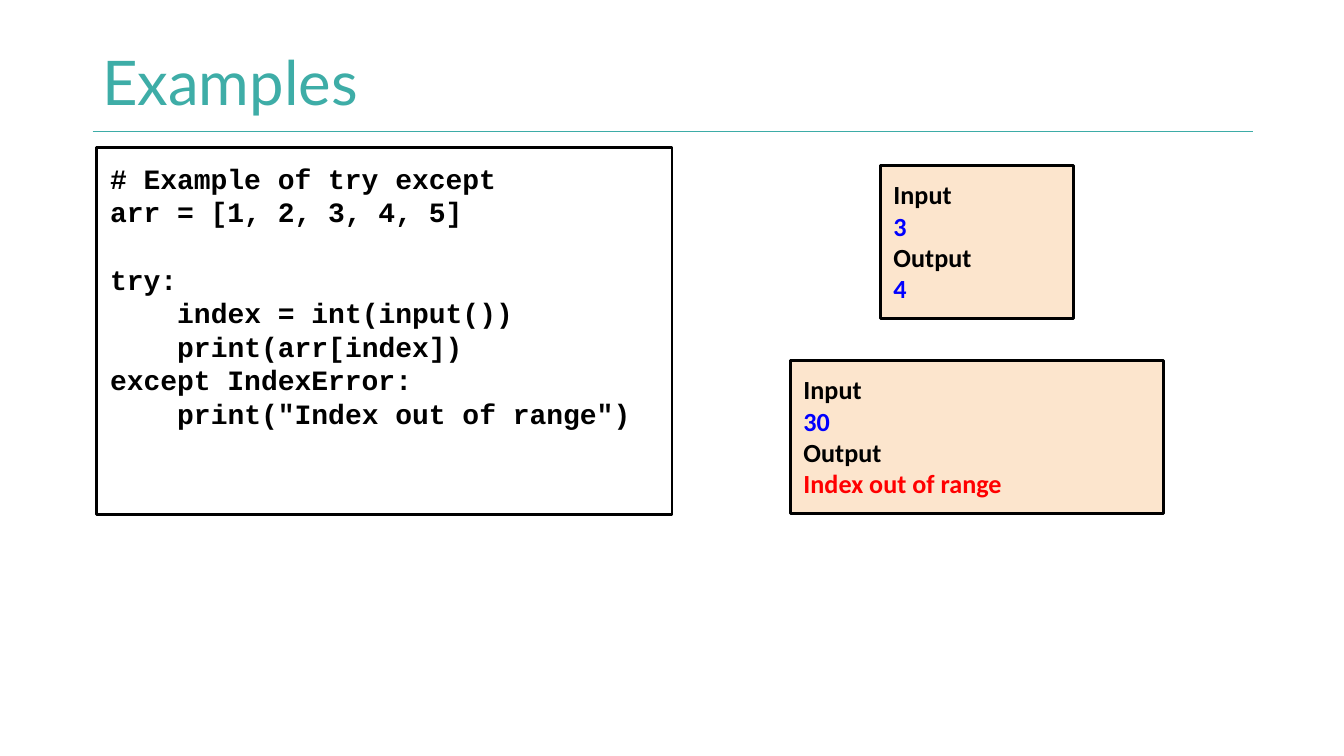
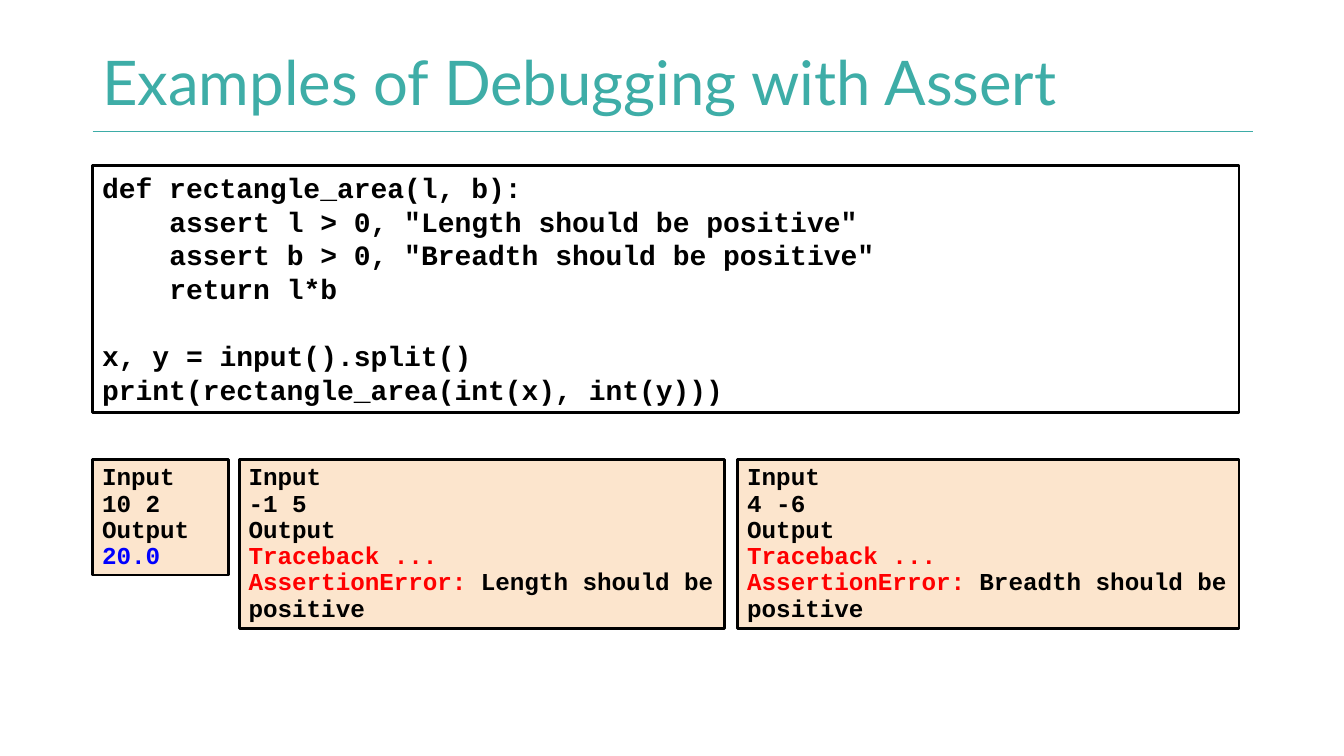
import pptx
import pptx.dml.color
import pptx.enum.shapes
import pptx.enum.text
import pptx.oxml.ns
import pptx.util
import lxml.etree

SCALE = 9144
TEAL, RULE, PEACH = "3EADA7", "3DACA7", "FCE5CD"
BLACK, BLUE, RED = "000000", "0000FF", "FF0000"
MONO, SANS = "Courier New", "Calibri"
ALIGN = pptx.enum.text.PP_ALIGN
WIDE, SLIM = (10, 10), (7, 4)


def px(num):
    return pptx.util.Emu(num * SCALE)


def tint(code):
    return pptx.dml.color.RGBColor.from_string(code)


class Deck:
    def __init__(self):
        self.prs = pptx.Presentation()
        self.prs.slide_width = px(1000)
        self.prs.slide_height = px(1000) * 9 // 16
        self.slide = None

    def page(self, text):
        self.slide = self.prs.slides.add_slide(self.prs.slide_layouts[5])
        self.rule(69, 98, 932)
        title = self.slide.shapes.title
        title.left, title.top, title.width, title.height = map(px, (69, 30, 775, 68))
        frame = self.frame(title, SLIM, pptx.enum.text.MSO_ANCHOR.MIDDLE)
        frame.auto_size = pptx.enum.text.MSO_AUTO_SIZE.NONE
        para = frame.paragraphs[0]
        para.alignment = ALIGN.LEFT
        para.line_spacing = 0.9
        self.run(para, text, "Lato", 33, TEAL, False)

    def rule(self, left, top, right):
        kind = pptx.enum.shapes.MSO_CONNECTOR.STRAIGHT
        line = self.slide.shapes.add_connector(kind, px(left), px(top), px(right), px(top))
        line.line.color.rgb = tint(RULE)
        line.line.width = pptx.util.Pt(0.75)
        lxml.etree.SubElement(line._element.spPr, pptx.oxml.ns.qn("a:effectLst"))

    def frame(self, shape, pad, anchor):
        frame = shape.text_frame
        frame.word_wrap = True
        frame.vertical_anchor = anchor
        frame.margin_left = frame.margin_right = px(pad[0])
        frame.margin_top = frame.margin_bottom = px(pad[1])
        return frame

    def run(self, para, text, font, size, color, bold=True):
        for num, part in enumerate(text.split("\n")):
            if num:
                para.add_line_break()
            if part:
                run = para.add_run()
                run.text = part
                run.font.name = font
                run.font.size = pptx.util.Pt(size)
                run.font.bold = bold
                run.font.color.rgb = tint(color)

    def box(self, area, pad, fill=None):
        kind = pptx.enum.shapes.MSO_SHAPE.RECTANGLE
        shape = self.slide.shapes.add_shape(kind, *map(px, area))
        shape.shadow.inherit = False
        if fill:
            shape.fill.solid()
            shape.fill.fore_color.rgb = tint(fill)
        else:
            shape.fill.background()
        shape.line.color.rgb = tint(BLACK)
        shape.line.width = pptx.util.Pt(1.5)
        frame = self.frame(shape, pad, pptx.enum.text.MSO_ANCHOR.TOP)
        frame.auto_size = pptx.enum.text.MSO_AUTO_SIZE.SHAPE_TO_FIT_TEXT
        return frame

    def paras(self, frame, count, align):
        for num in range(count):
            para = frame.add_paragraph() if num else frame.paragraphs[0]
            para.alignment = align
            yield para

    def code(self, area, pad, align, blocks):
        lines = [(num and not row, step, text)
                 for num, block in enumerate(blocks)
                 for row, (step, text) in enumerate(block)]
        frame = self.box(area, pad)
        for para, (gap, step, text) in zip(self.paras(frame, len(lines), align), lines):
            if gap:
                para.space_before = pptx.util.Pt(18)
            if step:
                props = para._p.get_or_add_pPr()
                props.set("marL", str(px(50 * step)))
                props.set("indent", "0")
            self.run(para, text, MONO, 15, BLACK)

    def sample(self, area, *rows):
        frame = self.box(area, WIDE, PEACH)
        for para, runs in zip(self.paras(frame, len(rows), ALIGN.LEFT), rows):
            for text, color in runs:
                self.run(para, text, SANS, 14, color)

    def trace(self, area, given, *runs):
        frame = self.box(area, SLIM, PEACH)
        para = frame.paragraphs[0]
        para.alignment = ALIGN.LEFT
        para.line_spacing = 0.9
        para.space_before = pptx.util.Pt(8)
        self.run(para, f"Input\n{given}\nOutput\n", MONO, 13, BLACK)
        for text, color in runs:
            self.run(para, text, MONO, 13, color)


def main():
    deck = Deck()

    deck.page("Examples")
    deck.code((72, 110, 428, 273), WIDE, ALIGN.JUSTIFY, [
        [(0, "# Example of try except"),
         (0, "arr = [1, 2, 3, 4, 5]")],
        [(0, "try:"),
         (1, "index = int(input())"),
         (1, "print(arr[index])"),
         (0, "except IndexError:"),
         (1, 'print("Index out of range")')],
    ])
    deck.sample((655, 123, 144, 114),
                [("Input\n", BLACK), ("3", BLUE)],
                [("Output", BLACK)], [("4", BLUE)])
    deck.sample((588, 268, 278, 114),
                [("Input", BLACK)], [("30", BLUE)],
                [("Output", BLACK)], [("Index out of range", RED)])

    deck.page("Examples of Debugging with Assert")
    deck.code((69, 123, 853, 184), SLIM, ALIGN.LEFT, [
        [(0, "def rectangle_area(l, b):"),
         (1, 'assert l > 0, "Length should be positive"'),
         (1, 'assert b > 0, "Breadth should be positive"'),
         (1, "return l*b")],
        [(0, "x, y = input().split()"),
         (0, "print(rectangle_area(int(x), int(y)))")],
    ])
    deck.trace((69, 342, 101, 86), "10 2", ("20.0", BLUE))
    for left, width, given, side in ((178, 361, "-1 5", "Length"),
                                     (549, 373, "4 -6", "Breadth")):
        deck.trace((left, 342, width, 126), given,
                   ("Traceback ...\nAssertionError:", RED),
                   (f" {side} should be positive", BLACK))

    deck.prs.save("out.pptx")


if __name__ == "__main__":
    main()
